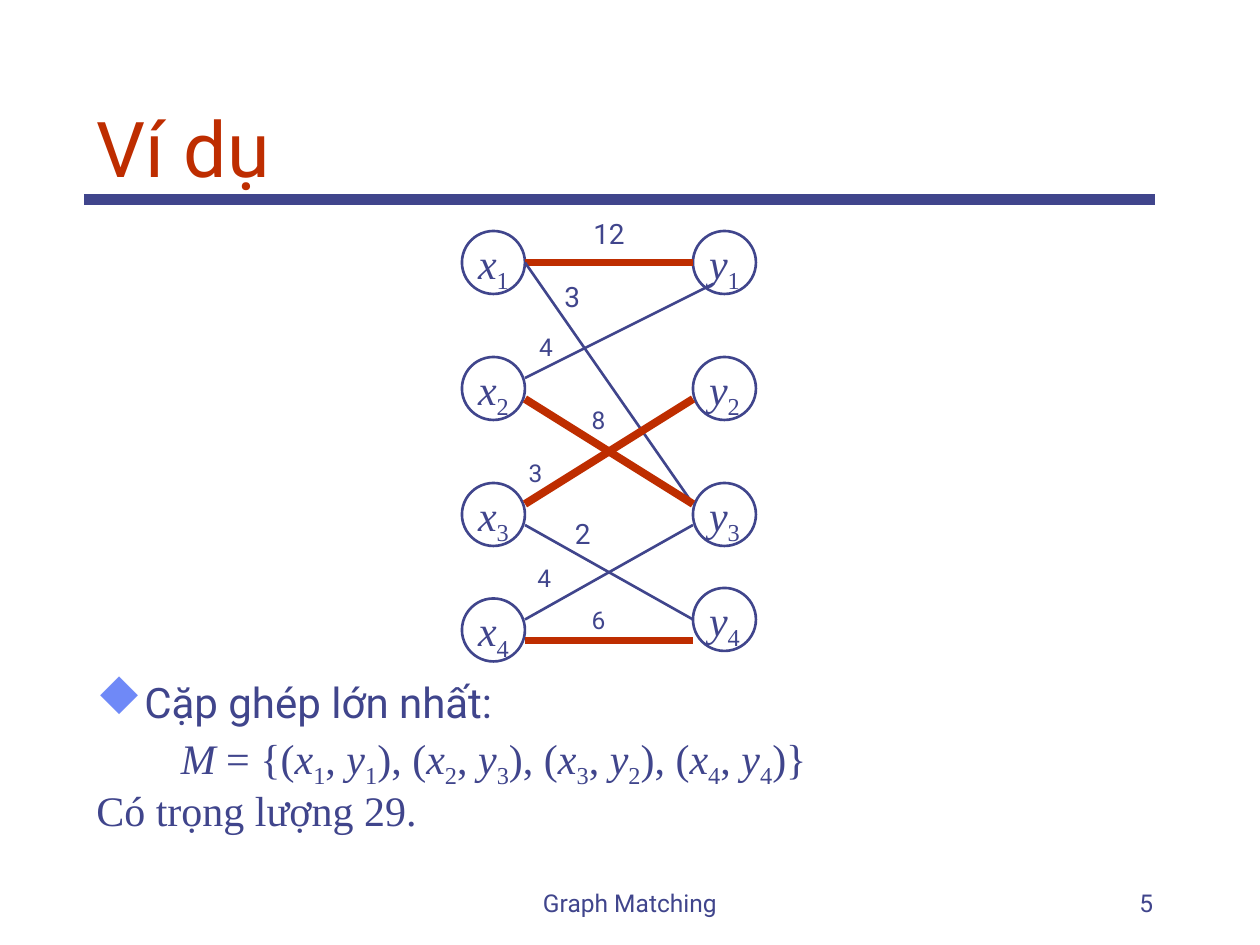
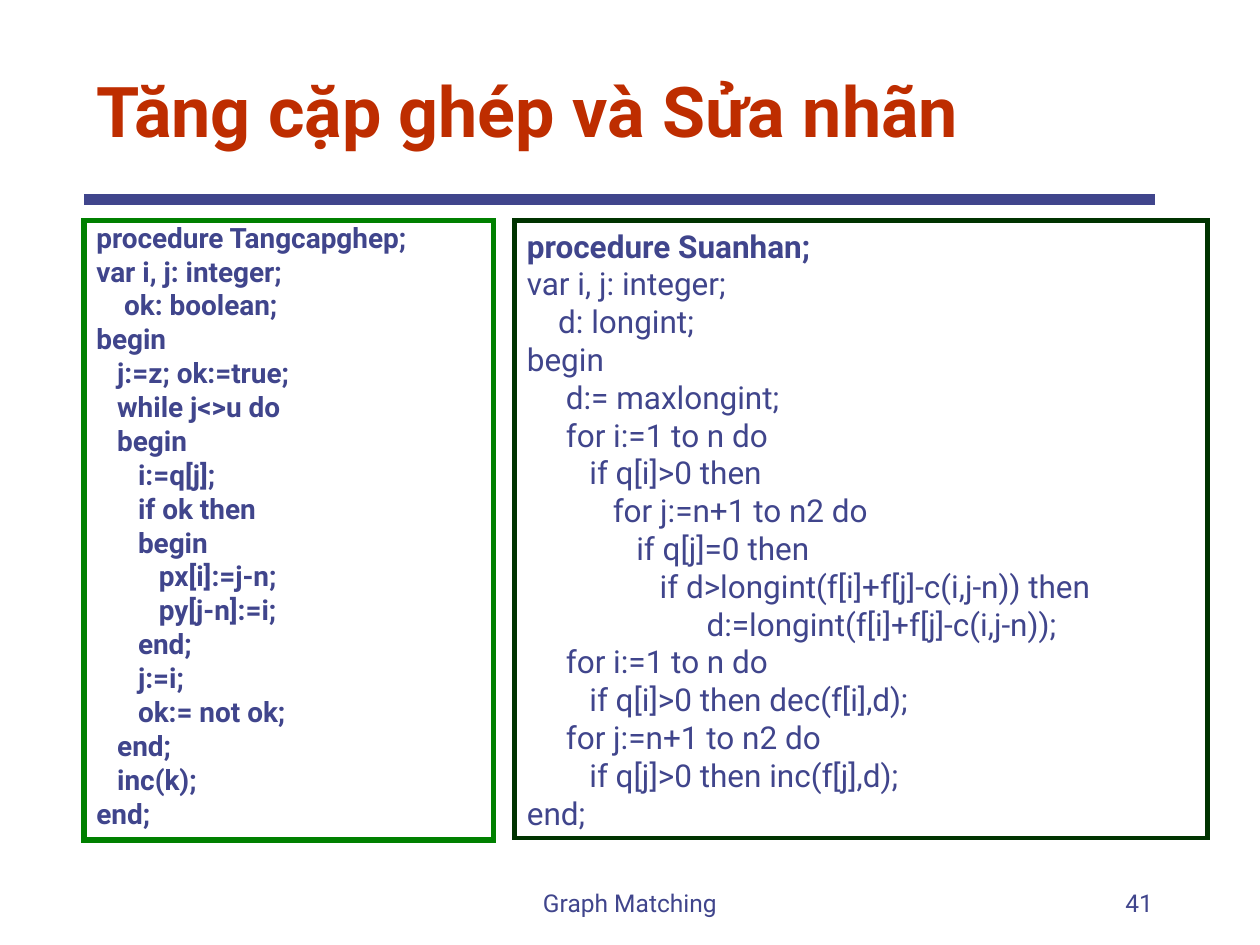
from lxml import etree
from pptx import Presentation
from pptx.dml.color import RGBColor
from pptx.enum.shapes import MSO_CONNECTOR, MSO_SHAPE
from pptx.enum.text import MSO_ANCHOR, MSO_AUTO_SIZE, PP_ALIGN
from pptx.oxml.ns import qn
from pptx.util import Inches, Pt

LEFT, CENTER, RIGHT = PP_ALIGN.LEFT, PP_ALIGN.CENTER, PP_ALIGN.RIGHT
TOP, BOTTOM = MSO_ANCHOR.TOP, MSO_ANCHOR.BOTTOM
NO_FIT = MSO_AUTO_SIZE.NONE
ELLIPSE, STRAIGHT = MSO_SHAPE.OVAL, MSO_CONNECTOR.STRAIGHT
TITLE_ONLY = 5
COLUMNS, ROWS = 120, 90
SPACE_WIDTH = 0.248

INK, RED, BULLET = "40458C", "BE2D00", "6F89F7"
GREEN, DARK_GREEN = "008000", "003300"
SANS, SERIF = "Roboto", "Times New Roman"
SYMBOLS, DIAMOND = "Wingdings", "u"

NODE_SIZE = 6
NODE_COLUMNS = {"x": 44, "y": 66}
NODE_ROWS = {"x": (22, 34, 46, 57), "y": (22, 34, 46, 56)}
EDGES = [
    (25, 66, 25, True),
    (25, 66, 48, False),
    (36, 68, 27, False),
    (38, 66, 48, True),
    (48, 66, 38, True),
    (50, 66, 59, False),
    (59, 66, 50, False),
    (61, 66, 61, True),
]
WEIGHTS = [
    ("12", 55, 20, 6, 16),
    ("3", 52, 26, 5, 16),
    ("4", 50, 31, 4, 14),
    ("8", 55, 38, 4, 14),
    ("3", 49, 43, 4, 14),
    ("2", 53, 48.6, 5, 16),
    ("4", 50, 53, 3, 14),
    ("6", 55, 57, 4, 14),
]
MATCHING = [("1", "1"), ("2", "3"), ("3", "2"), ("4", "4")]

AUGMENT_CODE = [
    (0, "procedure Tangcapghep;"),
    (0, "var i, j: integer;"),
    (4, "ok: boolean;"),
    (0, "begin"),
    (3, "j:=z; ok:=true;"),
    (3, "while j<>u do"),
    (3, "begin"),
    (6, "i:=q[j];"),
    (6, "if ok then"),
    (6, "begin"),
    (9, "px[i]:=j-n;"),
    (9, "py[j-n]:=i;"),
    (6, "end;"),
    (6, "j:=i;"),
    (6, "ok:= not ok;"),
    (3, "end;"),
    (3, "inc(k);"),
    (0, "end;"),
]
RELABEL_CODE = [
    (0, "procedure Suanhan;"),
    (0, "var i, j: integer;"),
    (4, "d: longint;"),
    (0, "begin"),
    (5, "d:= maxlongint;"),
    (5, "for i:=1 to n do"),
    (8, "if q[i]>0 then"),
    (11, "for j:=n+1 to n2 do"),
    (14, "if q[j]=0 then"),
    (17, "if d>longint(f[i]+f[j]-c(i,j-n)) then"),
    (23, "d:=longint(f[i]+f[j]-c(i,j-n));"),
    (5, "for i:=1 to n do"),
    (8, "if q[i]>0 then dec(f[i],d);"),
    (5, "for j:=n+1 to n2 do"),
    (8, "if q[j]>0 then inc(f[j],d);"),
    (0, "end;"),
]


def rgb(code):
    """Turn a hex string into a colour."""
    return RGBColor.from_string(code)


class Deck:
    """Holds the shared style and the slide being built."""

    def __init__(self):
        """Start an empty presentation."""
        self.deck = Presentation()
        self.deck.slide_width, self.deck.slide_height = Inches(10), Inches(7.5)
        self.page = None

    def place(self, column, row):
        """Convert grid columns and rows to lengths."""
        return (round(self.deck.slide_width * column / COLUMNS),
                round(self.deck.slide_height * row / ROWS))

    def area(self, column, row, width, height):
        """Convert a grid rectangle to lengths."""
        return self.place(column, row) + self.place(width, height)

    def start(self, title, number, size, height, bold=False):
        """Add a slide with its title, rule and footer."""
        layout = self.deck.slide_layouts[TITLE_ONLY]
        self.page = self.deck.slides.add_slide(layout)
        self.line((8, 19), (110, 19), INK, 6)
        heading = self.page.shapes.title
        heading.left, heading.top, heading.width, heading.height = self.area(
            8, 4, 102, height)
        self.frame(heading, BOTTOM)
        para = self.para(heading)
        self.span(para, title, size, color=RED, bold=bold)
        for text, column, width, align in (("Graph Matching", 41, 38, CENTER),
                                           (number, 86, 25, RIGHT)):
            box = self.box(column, 82, width, 6, BOTTOM)
            self.span(self.para(box, align), text, 14)

    def frame(self, box, anchor):
        """Set the wrapping and anchor of a text frame."""
        frame = box.text_frame
        frame.word_wrap = True
        frame.auto_size = NO_FIT
        frame.vertical_anchor = anchor

    def box(self, column, row, width, height, anchor=TOP):
        """Add an empty text box."""
        box = self.page.shapes.add_textbox(*self.area(column, row, width, height))
        self.frame(box, anchor)
        return box

    def para(self, box, align=LEFT, spacing=None, before=0, margin=0, hang=0):
        """Return the next paragraph of a box, formatted."""
        frame = box.text_frame
        first = frame.paragraphs[0]
        para = frame.add_paragraph() if first.runs else first
        para.alignment = align
        para.space_before = Pt(before)
        if spacing:
            para.line_spacing = spacing
        properties = para._p.get_or_add_pPr()
        properties.set("marL", str(round(margin)))
        properties.set("indent", str(-round(hang)))
        return para

    def bullet(self, para, mark, color, percent):
        """Give a paragraph a coloured symbol bullet."""
        properties = para._p.get_or_add_pPr()
        tint = etree.SubElement(properties, qn("a:buClr"))
        etree.SubElement(tint, qn("a:srgbClr"), val=color)
        etree.SubElement(properties, qn("a:buSzPct"), val=str(percent * 1000))
        etree.SubElement(properties, qn("a:buFont"), typeface=SYMBOLS,
                         pitchFamily="2", charset="2")
        etree.SubElement(properties, qn("a:buChar"), char=mark)

    def span(self, para, text, size, font=SANS, color=INK, bold=False,
             italic=False, lowered=False):
        """Add one run."""
        span = para.add_run()
        span.text = text
        span.font.name, span.font.size = font, Pt(size)
        span.font.bold, span.font.italic = bold, italic
        span.font.color.rgb = rgb(color)
        if lowered:
            span._r.get_or_add_rPr().set("baseline", "-25000")

    def variable(self, para, letter, index):
        """Add an italic letter with its subscript."""
        self.span(para, letter, 24, SERIF, italic=True)
        self.span(para, index, 24, SERIF, lowered=True)

    def line(self, start, end, color, width):
        """Draw a straight line between two grid points."""
        line = self.page.shapes.add_connector(
            STRAIGHT, *self.place(*start), *self.place(*end))
        line.line.color.rgb = rgb(color)
        line.line.width = Pt(width)
        etree.SubElement(line._element.spPr, qn("a:effectLst"))

    def node(self, letter, index, column, row):
        """Draw a labelled graph vertex."""
        circle = self.page.shapes.add_shape(
            ELLIPSE, *self.area(column, row, NODE_SIZE, NODE_SIZE))
        circle.shadow.inherit = False
        circle.fill.background()
        circle.line.color.rgb = rgb(INK)
        circle.line.width = Pt(1.5)
        label = self.box(column, row, NODE_SIZE, 6.7)
        self.variable(self.para(label, CENTER), letter, index)

    def code(self, lines, area, outline, width, size, bold, **layout):
        """Add a square-cornered listing whose heading line is always bold."""
        box = self.box(*area)
        box.line.color.rgb = rgb(outline)
        box.line.width = Pt(width)
        border = box._element.spPr.find(qn("a:ln"))
        etree.SubElement(border, qn("a:miter"), lim="800000")
        for number, (spaces, text) in enumerate(lines):
            margin = Pt(spaces * size * SPACE_WIDTH)
            para = self.para(box, margin=margin, **layout)
            self.span(para, text, size, bold=bold or number == 0)


def example_slide(deck):
    """Build the weighted matching example."""
    deck.start("Ví dụ", "5", 44, 15)
    box = deck.box(8, 64.8, 105, 17.2)
    layout = {"spacing": 0.8, "before": 6}
    hang = Inches(0.38)
    para = deck.para(box, margin=hang, hang=hang, **layout)
    deck.bullet(para, DIAMOND, BULLET, 110)
    deck.span(para, "Cặp ghép lớn nhất:", 24)

    para = deck.para(box, margin=Inches(0.67), **layout)
    deck.span(para, "M", 24, SERIF, italic=True)
    opening = " = {("
    for left, right in MATCHING:
        deck.span(para, opening, 24, SERIF)
        deck.variable(para, "x", left)
        deck.span(para, ", ", 24, SERIF)
        deck.variable(para, "y", right)
        opening = "), ("
    deck.span(para, ")}", 24, SERIF)
    deck.span(deck.para(box, **layout), "Có trọng lượng 29.", 24, SERIF)

    for letter, column in NODE_COLUMNS.items():
        for index, row in enumerate(NODE_ROWS[letter], 1):
            deck.node(letter, str(index), column, row)
    for start_row, end_column, end_row, matched in EDGES:
        color, width = (RED, 4.5) if matched else (INK, 1.5)
        deck.line((50, start_row), (end_column, end_row), color, width)
    for weight, column, row, width, size in WEIGHTS:
        label = deck.box(column, row, width, 4.4 if size == 16 else 4.1)
        deck.span(deck.para(label, CENTER), weight, size)


def procedures_slide(deck):
    """Build the two procedure listings."""
    deck.start("Tăng cặp ghép và Sửa nhãn", "41", 40, 11, bold=True)
    deck.code(AUGMENT_CODE, (8, 21, 39, 59), GREEN, 3, 16, True,
              spacing=0.8, before=4)
    deck.code(RELABEL_CODE, (49, 21, 66, 58.8), DARK_GREEN, 2.5, 18, False)


def main():
    """Build and save the deck."""
    deck = Deck()
    example_slide(deck)
    procedures_slide(deck)
    deck.deck.save("out.pptx")


if __name__ == "__main__":
    main()
